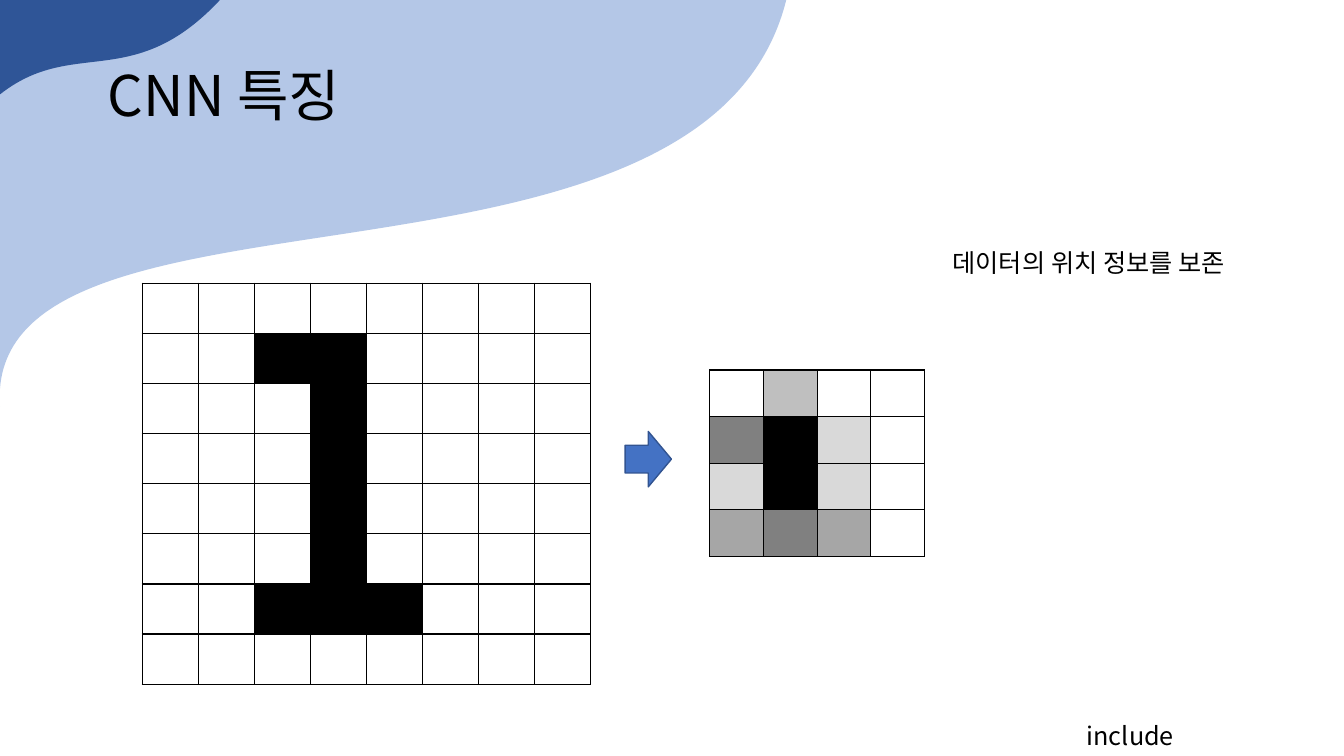
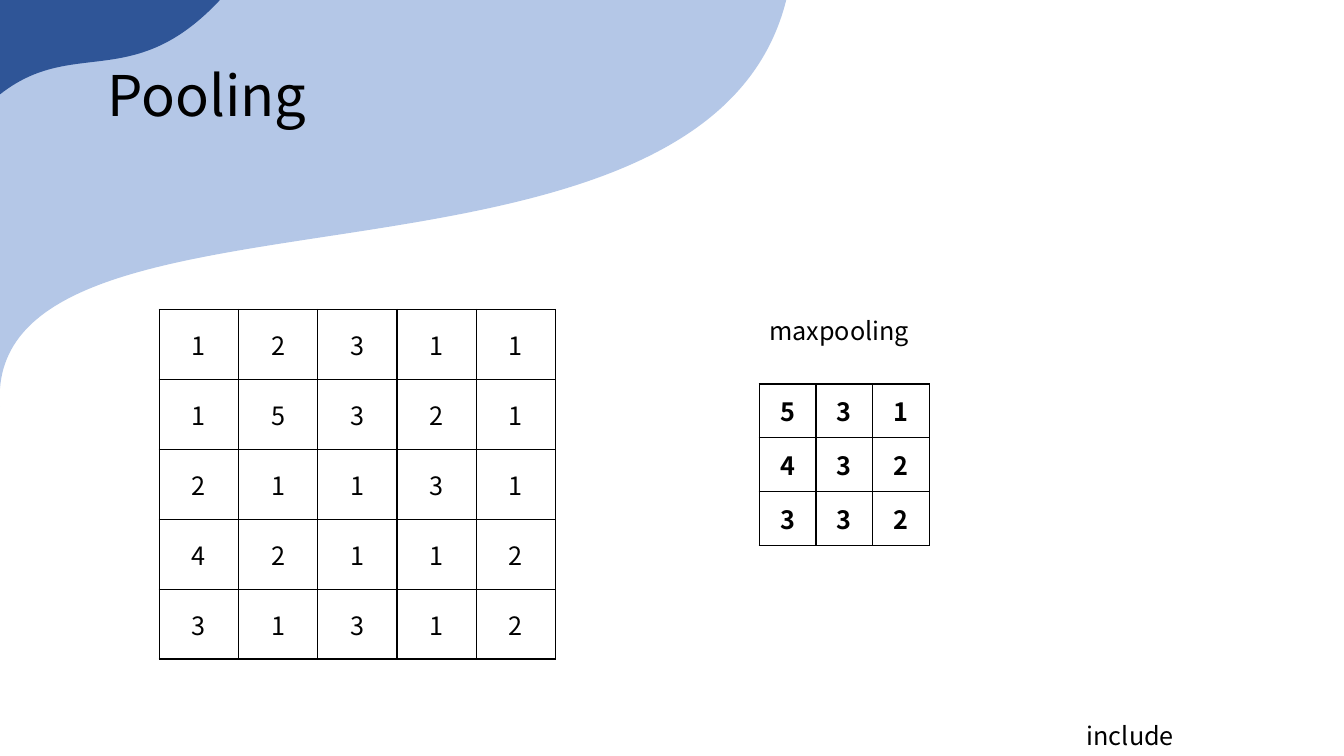
from math import cos, radians, sin

from lxml import etree
from pptx import Presentation
from pptx.dml.color import RGBColor
from pptx.enum.shapes import MSO_SHAPE as SHAPE
from pptx.enum.text import MSO_ANCHOR as ANCHOR, MSO_AUTO_SIZE as AUTOSIZE, PP_ALIGN as ALIGN
from pptx.oxml.ns import qn
from pptx.util import Inches, Pt

FONT = "Noto Sans CJK KR"
BLACK, WHITE = "000000", "FFFFFF"
SKY, NAVY = "B4C7E7", "2F5597"
ARROW_FILL, ARROW_LINE = "4472C4", "325491"
TITLE_BOX = (0.97, 0.63, 11.33, 1)
FOOTER_BOX = (10.68, 7.1, 2.65, 0.4)

# Colour, box, rotation, start point, then segments: one point is a line, three a curve
WAVES = [
    (SKY, (-1.27, -1.87, 8.52, 5.71), 317.8, (-0.08, 2.05), [
        [(-0.12, 2.07), (-0.19, 6.06), (-0.1, -0.06)],
        [(7.81, -0.05)],
        [(7.06, 3.27), (-0.18, 1.53), (0, 4.03)],
        [(-0.08, 3.17), (-0.05, 3.74), (-0.06, 2.54)],
        [(-0.04, 2.19), (-0.09, 2.42), (-0.08, 2.05)]]),
    (NAVY, (-0.54, -0.65, 2.67, 1.54), 323.6, (-0.12, 0.54), [
        [(-0.17, 0.53), (-0.11, 0.39), (-0.1, 0.27)],
        [(-0.08, 0.04), (-0.51, 0.02), (-0.07, -0.16)],
        [(2.28, -0.11)],
        [(1.3, 1.04), (0.68, 0.25), (-0.15, 1.07)],
        [(-0.23, 1.14), (-0.13, 0.55), (-0.12, 0.54)]]),
]

SHADES = {".": None, "w": WHITE, "l": "D9D9D9", "s": "BFBFBF",
          "m": "A6A6A6", "d": "808080", "k": BLACK}
DIGIT_PIXELS = ["........", "..kk....", "...k....", "...k....",
                "...k....", "...k....", "..kkk...", "........"]
REDUCED_PIXELS = ["wsww", "dklw", "lklw", "mdmw"]
POOL_INPUT = ["12311", "15321", "21131", "42112", "31312"]
POOL_OUTPUT = ["531", "432", "332"]


def rgb(value):
    return RGBColor.from_string(value)


def inches(box):
    return [Inches(v) for v in box]


def write(tf, text, align=ALIGN.LEFT, **font):
    p = tf.paragraphs[0]
    p.alignment = align
    r = p.add_run()
    r.text = text
    for name, value in {"name": FONT, "size": Pt(18), "bold": False, **font}.items():
        setattr(r.font, name, value)
    r.font.color.rgb = rgb(BLACK)
    etree.SubElement(r.font._element, qn("a:ea"), typeface=FONT)
    return p


def add_label(slide, box, text):
    sp = slide.shapes.add_textbox(*inches(box))
    sp.text_frame.word_wrap = True
    write(sp.text_frame, text)
    return sp


def unrotate(point, box, rotation):
    """Turn a slide point into a point measured from the unrotated box's corner."""
    left, top, width, height = box
    dx, dy = point[0] - left - width / 2, point[1] - top - height / 2
    a = radians(rotation)
    return (width / 2 + dx * cos(a) + dy * sin(a),
            height / 2 - dx * sin(a) + dy * cos(a))


def add_wave(slide, color, box, rotation, start, segments):
    builder = slide.shapes.build_freeform(0, 0)
    builder.add_line_segments([inches(box[2:])], close=True)
    sp = builder.convert_to_shape()
    sp.left, sp.top, sp.width, sp.height = inches(box)
    sp.rotation = rotation
    sp.shadow.inherit = False
    sp.fill.solid()
    sp.fill.fore_color.rgb = rgb(color)
    sp.line.fill.background()

    outline = next(sp.element.iter(qn("a:path")))
    for child in list(outline):
        outline.remove(child)
    outline.set("w", str(Inches(box[2])))
    outline.set("h", str(Inches(box[3])))
    tags = {1: "a:lnTo", 3: "a:cubicBezTo"}
    steps = [("a:moveTo", [start])] + [(tags[len(pts)], pts) for pts in segments]
    for tag, points in steps:
        step = etree.SubElement(outline, qn(tag))
        for point in points:
            x, y = inches(unrotate(point, box, rotation))
            etree.SubElement(step, qn("a:pt"), x=str(x), y=str(y))
    etree.SubElement(outline, qn("a:close"))
    return sp


def move_to_layout(shapes, layout):
    """Put the shapes behind everything on the layout, keeping their order."""
    for i, sp in enumerate(shapes):
        sp.element.nvSpPr.cNvPr.set("id", str(100 + i))
        layout.shapes.element.insert(2 + i, sp.element)


def decorate_layout(layout, slide):
    title = layout.placeholders[0]
    title.left, title.top, title.width, title.height = inches(TITLE_BOX)
    parts = [add_label(slide, FOOTER_BOX, "include")]
    parts += [add_wave(slide, *wave) for wave in WAVES]
    move_to_layout(parts, layout)


def set_title(slide, text):
    tf = slide.shapes.title.text_frame
    for name, value in {"auto_size": AUTOSIZE.NONE, "vertical_anchor": ANCHOR.TOP,
                        "word_wrap": True}.items():
        setattr(tf, name, value)
    p = write(tf, text, size=Pt(40))
    p.line_spacing = 0.9


def set_borders(cell):
    tc_pr = cell._tc.get_or_add_tcPr()
    for i, side in enumerate(("lnL", "lnR", "lnT", "lnB")):
        ln = etree.Element(qn(f"a:{side}"), w=str(Pt(1)))
        fill = etree.SubElement(ln, qn("a:solidFill"))
        etree.SubElement(fill, qn("a:srgbClr"), val=BLACK)
        tc_pr.insert(i, ln)


def add_grid(slide, box, rows, paint):
    """Draw a bordered table; paint(cell, symbol) fills in each cell."""
    n_rows, n_cols = len(rows), len(rows[0])
    left, top, width, height = inches(box)
    table = slide.shapes.add_table(n_rows, n_cols, left, top, width, height).table
    table.first_row = table.horz_banding = False
    for col in table.columns:
        col.width = width // n_cols
    for row in table.rows:
        row.height = height // n_rows
    for i, symbols in enumerate(rows):
        for j, symbol in enumerate(symbols):
            cell = table.cell(i, j)
            cell.fill.background()
            paint(cell, symbol)
            set_borders(cell)


def paint_pixel(cell, symbol):
    if SHADES[symbol]:
        cell.fill.solid()
        cell.fill.fore_color.rgb = rgb(SHADES[symbol])


def paint_number(cell, symbol, bold=False):
    cell.vertical_anchor = ANCHOR.MIDDLE
    write(cell.text_frame, symbol, ALIGN.CENTER, bold=bold)


def paint_bold_number(cell, symbol):
    paint_number(cell, symbol, bold=True)


def add_arrow(slide, box):
    sp = slide.shapes.add_shape(SHAPE.RIGHT_ARROW, *inches(box))
    sp.shadow.inherit = False
    sp.fill.solid()
    sp.fill.fore_color.rgb = rgb(ARROW_FILL)
    sp.line.color.rgb = rgb(ARROW_LINE)
    sp.line.width = Pt(1)


def build_features(slide):
    set_title(slide, "CNN 특징")
    add_grid(slide, (1.41, 2.81, 4.45, 3.98), DIGIT_PIXELS, paint_pixel)
    add_grid(slide, (7.04, 3.67, 2.13, 1.85), REDUCED_PIXELS, paint_pixel)
    add_arrow(slide, (6.2, 4.28, 0.46, 0.55))
    add_label(slide, (9.35, 2.4, 3.14, 0.71), "데이터의 위치 정보를 보존")


def build_pooling(slide):
    set_title(slide, "Pooling")
    add_grid(slide, (1.58, 3.07, 3.93, 3.47), POOL_INPUT, paint_number)
    add_grid(slide, (7.53, 3.81, 1.69, 1.6), POOL_OUTPUT, paint_bold_number)
    add_label(slide, (7.53, 3.08, 4.35, 0.4), "maxpooling")


def main():
    prs = Presentation()
    prs.slide_width, prs.slide_height = inches((13.33, 7.5))
    layout = prs.slide_layouts.get_by_name("Title Only")
    features, pooling = (prs.slides.add_slide(layout) for _ in range(2))
    decorate_layout(layout, features)
    build_features(features)
    build_pooling(pooling)
    prs.save("out.pptx")


if __name__ == "__main__":
    main()
